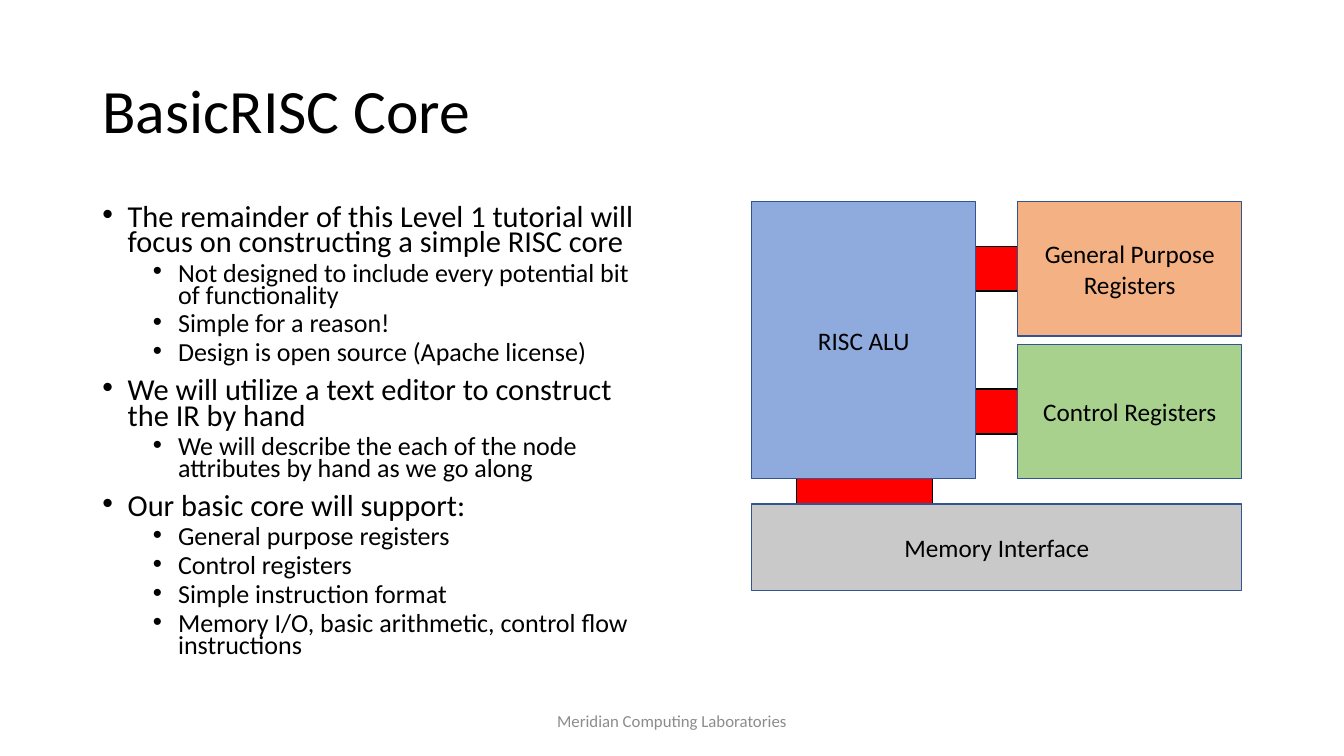
from lxml import etree
from pptx import Presentation
from pptx.dml.color import RGBColor
from pptx.enum.shapes import MSO_SHAPE
from pptx.enum.text import MSO_ANCHOR, MSO_AUTO_SIZE, PP_ALIGN
from pptx.oxml.ns import qn
from pptx.util import Pt

RECT = MSO_SHAPE.RECTANGLE
MIDDLE, TOP = MSO_ANCHOR.MIDDLE, MSO_ANCHOR.TOP
FIXED = MSO_AUTO_SIZE.NONE
LEFT, CENTER = PP_ALIGN.LEFT, PP_ALIGN.CENTER

FONT = "Calibri"
COLORS = {
    "text": "000000",
    "footer": "8C8C8C",
    "edge": "325491",
    "bus": "FF0000",
    "alu": "8FAADC",
    "general": "F4B183",
    "control": "A9D18E",
    "memory": "C9C9C9",
}
LEVELS = [
    {"size": 21.7, "indent": 18, "before": 10},
    {"size": 18.6, "indent": 54, "before": 5},
]
POINTS = [
    (0, "The remainder of this Level 1 tutorial will focus on constructing a simple RISC core"),
    (1, "Not designed to include every potential bit of functionality"),
    (1, "Simple for a reason!"),
    (1, "Design is open source (Apache license)"),
    (0, "We will utilize a text editor to construct the IR by hand"),
    (1, "We will describe the each of the node attributes by hand as we go along"),
    (0, "Our basic core will support:"),
    (1, "General purpose registers"),
    (1, "Control registers"),
    (1, "Simple instruction format"),
    (1, "Memory I/O, basic arithmetic, control flow instructions"),
]
BUSES = [(569, 336, 97, 32), (664, 278, 96, 32), (664, 176, 96, 32)]
BLOCKS = [
    ("RISC ALU", "alu", (537, 144, 160, 198)),
    ("General Purpose Registers", "general", (727, 144, 160, 96)),
    ("Control Registers", "control", (727, 246, 160, 96)),
    ("Memory Interface", "memory", (537, 360, 350, 62)),
]


def color(name):
    return RGBColor.from_string(COLORS[name])


def apply(target, values):
    for name, value in values.items():
        setattr(target, name, value)


def place(shape, box):
    names = ("left", "top", "width", "height")
    apply(shape, {name: Pt(value) for name, value in zip(names, box)})


def style(para, size, tint="text", **layout):
    apply(para, layout)
    apply(para.font, {"name": FONT, "size": Pt(size), "bold": False})
    para.font.color.rgb = color(tint)


def set_frame(frame, anchor):
    apply(frame, {"word_wrap": True, "auto_size": FIXED, "vertical_anchor": anchor})


def add_bullet(para, indent):
    props = para._p.get_or_add_pPr()
    props.set("marL", str(Pt(indent)))
    props.set("indent", str(Pt(-18)))
    etree.SubElement(props, qn("a:buFont")).set("typeface", "Arial")
    etree.SubElement(props, qn("a:buChar")).set("char", "•")


def fill_title(title):
    place(title, (66, 29, 828, 104))
    set_frame(title.text_frame, MIDDLE)
    title.text_frame.text = "BasicRISC Core"
    style(title.text_frame.paragraphs[0], 44, alignment=LEFT, line_spacing=0.9)


def fill_list(body):
    place(body, (66, 144, 408, 343))
    frame = body.text_frame
    set_frame(frame, TOP)
    frame.text = "\n".join(text for _, text in POINTS)
    for order, (para, (depth, _)) in enumerate(zip(frame.paragraphs, POINTS)):
        level = LEVELS[depth]
        add_bullet(para, level["indent"])
        style(para, level["size"], level=depth, line_spacing=0.7,
              space_before=Pt(level["before"] if order else 0))


def add_footer(slide):
    note = slide.shapes.add_textbox(0, 0, 0, 0)
    place(note, (318, 500, 324, 29))
    set_frame(note.text_frame, MIDDLE)
    note.text_frame.text = "Meridian Computing Laboratories"
    style(note.text_frame.paragraphs[0], 12, "footer", alignment=CENTER)


def add_block(group, box, fill, edge, label=""):
    block = group.shapes.add_shape(RECT, *map(Pt, box))
    block.shadow.inherit = False
    block.fill.solid()
    block.fill.fore_color.rgb = color(fill)
    block.line.color.rgb = color(edge)
    block.line.width = Pt(1)
    if label:
        set_frame(block.text_frame, MIDDLE)
        block.text_frame.text = label
        style(block.text_frame.paragraphs[0], 18, alignment=CENTER)


def add_diagram(slide):
    group = slide.shapes.add_group_shape()
    for box in BUSES:
        add_block(group, box, "bus", "text")
    for label, fill, box in BLOCKS:
        add_block(group, box, fill, "edge", label)


def main():
    """Build the BasicRISC core slide and save it."""
    deck = Presentation()
    apply(deck, {"slide_width": Pt(960), "slide_height": Pt(540)})
    slide = deck.slides.add_slide(deck.slide_layouts[1])
    fill_title(slide.shapes.title)
    fill_list(slide.placeholders[1])
    add_footer(slide)
    add_diagram(slide)
    deck.save("out.pptx")


if __name__ == "__main__":
    main()
